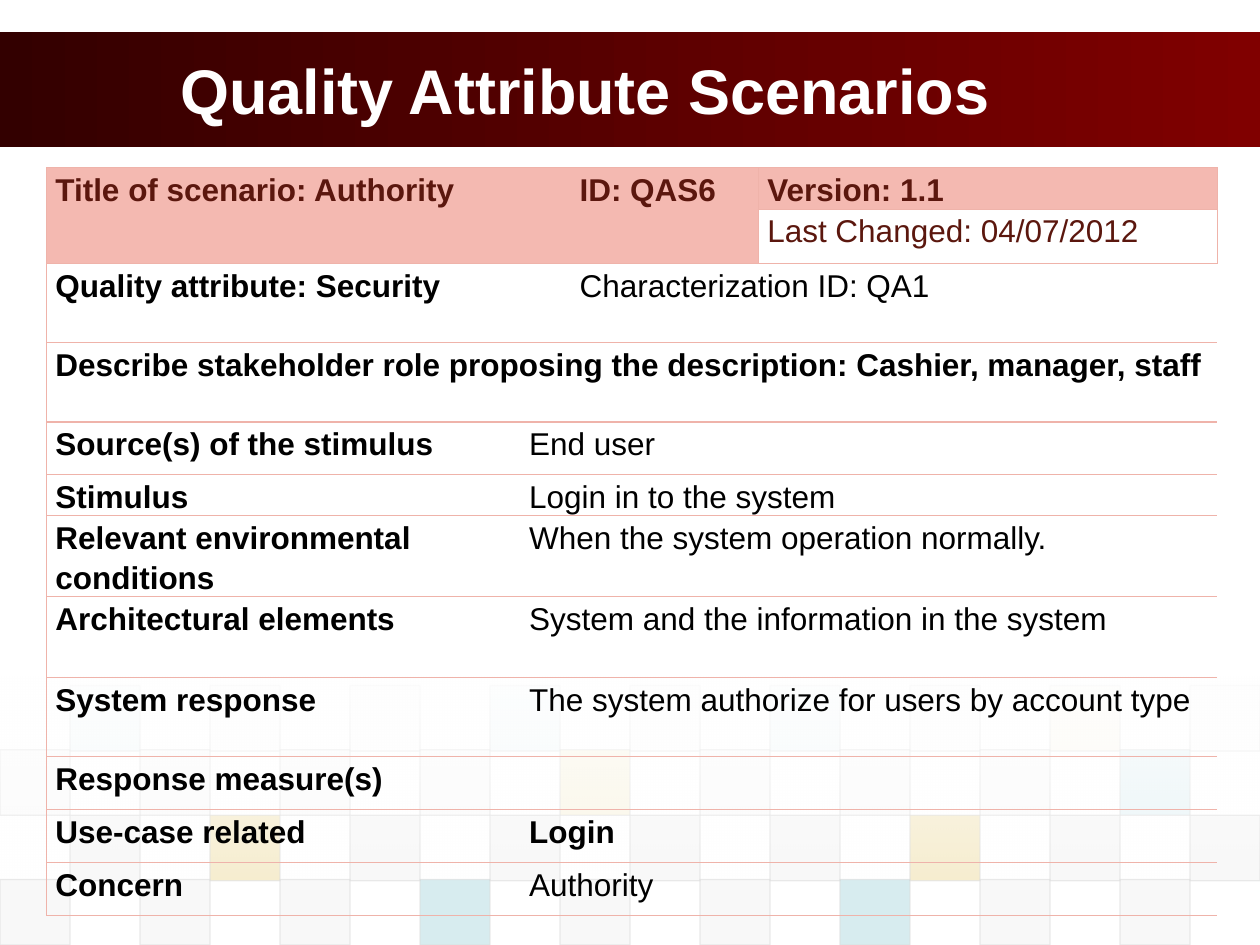
"""Build the Quality Attribute Scenarios slide with its scenario table."""
import pptx
import pptx.dml.color
import pptx.enum.shapes
import pptx.enum.text
import pptx.oxml.ns
import pptx.util
from lxml import etree

Inches = pptx.util.Inches
Pt = pptx.util.Pt
qn = pptx.oxml.ns.qn
RECTANGLE = pptx.enum.shapes.MSO_SHAPE.RECTANGLE


def rgb(value):
    """Turn a hex string into a colour."""
    return pptx.dml.color.RGBColor.from_string(value)


def set_alpha(color_parent, percent):
    """Give every colour below an element the same opacity."""
    for color in color_parent.iter(qn("a:srgbClr")):
        etree.SubElement(color, qn("a:alpha"), val=str(percent * 1000))


prs = pptx.Presentation()
prs.slide_width = Inches(10)
prs.slide_height = Inches(7.5)
slide = prs.slides.add_slide(prs.slide_layouts[5])
shapes = slide.shapes

band = shapes.add_shape(RECTANGLE, 0, Inches(0.25), Inches(10), Inches(0.92))
band.shadow.inherit = False
band.line.fill.background()
band.fill.gradient()
band.fill.gradient_angle = 0
for stop, color in zip(band.fill.gradient_stops, ("330000", "800000")):
    stop.color.rgb = rgb(color)

GRAY, GOLD, TEAL = "DDDDDD", "D3A911", "38A3B2"
tile_rows = [
    (5.44, 1, 5, {1: TEAL, 7: TEAL, 11: TEAL, 15: GOLD}),
    (5.95, 0, 10, {8: GOLD, 16: TEAL}),
    (6.47, 1, 20, {3: GOLD, 13: GOLD}),
    (6.98, 0, 20, {6: TEAL, 12: TEAL}),
]
pitch = 10 / 18
for top, first_column, opacity, accents in tile_rows:
    for column in range(first_column, 18, 2):
        tile = shapes.add_shape(RECTANGLE, Inches(column * pitch), Inches(top),
                                Inches(pitch), Inches(0.52))
        tile.shadow.inherit = False
        tile.fill.solid()
        tile.fill.fore_color.rgb = rgb(accents.get(column, GRAY))
        set_alpha(tile._element.spPr, opacity)
        tile.line.color.rgb = rgb(GRAY)
        tile.line.width = Pt(0.75)
        set_alpha(tile.line._ln, 60)

fade = shapes.add_shape(RECTANGLE, 0, Inches(5.37), Inches(10), Inches(1.62))
fade.shadow.inherit = False
fade.line.fill.background()
fade.fill.gradient()
fade.fill.gradient_angle = 270
for stop in fade.fill.gradient_stops:
    stop.color.rgb = rgb("FFFFFF")
for stop, opacity in zip(fade._element.spPr.iter(qn("a:gs")), (90, 0)):
    set_alpha(stop, opacity)

title = shapes.title
shapes._spTree.append(title._element)
title.left, title.top = Inches(1.33), Inches(0.25)
title.width, title.height = Inches(8.08), Inches(0.92)
title.text_frame.vertical_anchor = pptx.enum.text.MSO_ANCHOR.MIDDLE
heading = title.text_frame.paragraphs[0]
heading.alignment = pptx.enum.text.PP_ALIGN.LEFT
heading_run = heading.add_run()
heading_run.text = "Quality Attribute Scenarios"
heading_run.font.name = "Arial"
heading_run.font.size = Pt(36)
heading_run.font.bold = True
heading_run.font.color.rgb = rgb("FFFFFF")

column_widths = [3.76, 0.4, 1.49, 3.64]
row_heights = [0.33, 0.43, 0.63, 0.63, 0.42, 0.32, 0.64, 0.64, 0.63, 0.42, 0.42, 0.42]
scenario = shapes.add_table(12, 4, Inches(0.37), Inches(1.33),
                            Inches(sum(column_widths)), Inches(sum(row_heights))).table
scenario.first_row = False
scenario.horz_banding = False
for column, width in zip(scenario.columns, column_widths):
    column.width = Inches(width)
for row, height in zip(scenario.rows, row_heights):
    row.height = Inches(height)

merges = [(0, 0, 1, 1), (0, 2, 1, 2), (2, 0, 2, 1), (2, 2, 2, 3), (3, 0, 3, 3)]
merges += [(row, 1, row, 3) for row in range(4, 12)]
for top, left, bottom, right in merges:
    scenario.cell(top, left).merge(scenario.cell(bottom, right))

entries = [
    (0, 0, "Title of scenario: Authority", True),
    (0, 2, "ID: QAS6", True),
    (0, 3, "Version: 1.1", True),
    (1, 3, "Last Changed: 04/07/2012", False),
    (2, 0, "Quality attribute: Security", True),
    (2, 2, "Characterization ID: QA1", False),
    (3, 0, "Describe stakeholder role proposing the description: Cashier, manager, staff", True),
]
details = [
    ("Source(s) of the stimulus", "End user"),
    ("Stimulus", "Login in to the system"),
    ("Relevant environmental conditions", "When the system operation normally."),
    ("Architectural elements", "System and the information in the system"),
    ("System response", "The system authorize for users by account type"),
    ("Response measure(s)", ""),
    ("Use-case related", "Login"),
    ("Concern", "Authority"),
]
for row, (label, detail) in enumerate(details, start=4):
    entries.append((row, 0, label, True))
    if detail:
        entries.append((row, 1, detail, detail == "Login"))

for row in range(12):
    for column in range(4):
        cell = scenario.cell(row, column)
        cell.margin_left = cell.margin_right = Inches(0.07)
        cell.margin_top = cell.margin_bottom = 0
        in_header = row < 2
        drawn = {
            "L": column == 0 or (in_header and column == 3),
            "R": column == 3 or (in_header and column == 2),
            "T": True,
            "B": True,
        }
        properties = cell._tc.get_or_add_tcPr()
        for side, visible in drawn.items():
            border = etree.SubElement(properties, qn("a:ln" + side), w=str(Pt(0.75)))
            if visible:
                stroke = etree.SubElement(border, qn("a:solidFill"))
                etree.SubElement(stroke, qn("a:srgbClr"), val="EFB3AA")
            else:
                etree.SubElement(border, qn("a:noFill"))
        if in_header and (row, column) != (1, 3):
            cell.fill.solid()
            cell.fill.fore_color.rgb = rgb("F4B9B1")
        else:
            cell.fill.background()

for row, column, wording, bold in entries:
    paragraph = scenario.cell(row, column).text_frame.paragraphs[0]
    paragraph.line_spacing = 1.15
    run = paragraph.add_run()
    run.text = wording
    run.font.name = "Arial"
    run.font.size = Pt(18)
    run.font.bold = bold
    run.font.color.rgb = rgb("5B170E" if row < 2 else "000000")

prs.save("out.pptx")
